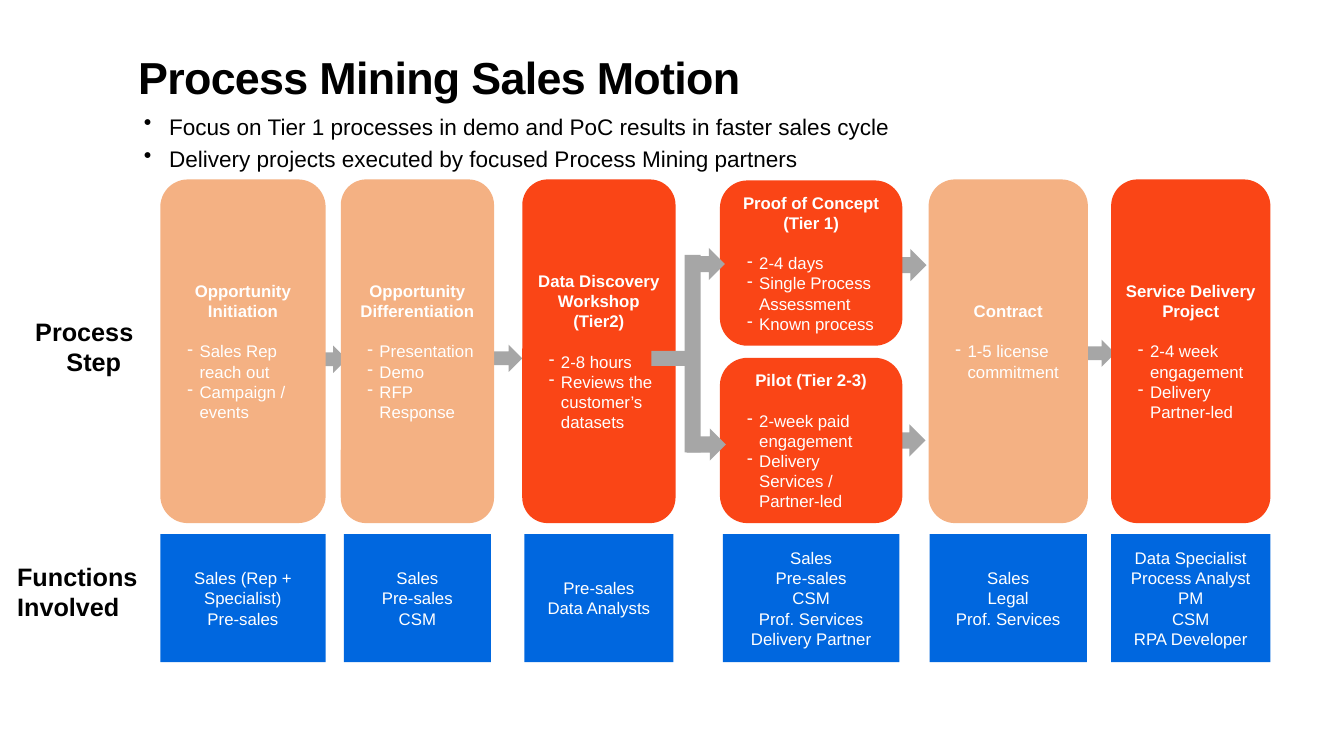
from lxml import etree
from pptx import Presentation
from pptx.dml.color import RGBColor
from pptx.enum.shapes import MSO_SHAPE
from pptx.enum.text import MSO_ANCHOR, PP_ALIGN
from pptx.oxml.ns import qn
from pptx.util import Inches, Pt

ROUND, RECT, ARROW = MSO_SHAPE.ROUNDED_RECTANGLE, MSO_SHAPE.RECTANGLE, MSO_SHAPE.RIGHT_ARROW
LEFT, MID = PP_ALIGN.LEFT, PP_ALIGN.CENTER
TOP, MIDDLE, BOTTOM = MSO_ANCHOR.TOP, MSO_ANCHOR.MIDDLE, MSO_ANCHOR.BOTTOM

COLORS = {"black": "000000", "white": "FFFFFF", "gray": "A6A6A6",
          "peach": "F4B183", "orange": "FA4516", "blue": "0067DF"}

# Column: left, width, and how far its staff box is set in on each side
COLS = {"start": (1.59, 1.64, 0), "differ": (3.38, 1.52, 0.03), "explore": (5.18, 1.52, 0.02),
        "prove": (7.14, 1.81, 0.03), "sign": (9.21, 1.58, 0.01), "deliver": (11.02, 1.58, 0)}
# Row: top, height
ROWS = {"full": (1.78, 3.41), "upper": (1.79, 1.64), "lower": (3.55, 1.64), "staff": (5.3, 1.27)}

# Column, row, colour, heading lines, points
STEPS = [
    ("differ", "full", "peach", ["Opportunity Differentiation"],
     ["Presentation", "Demo", "RFP Response"]),
    ("start", "full", "peach", ["Opportunity Initiation"],
     ["Sales Rep reach out", "Campaign / events"]),
    ("prove", "upper", "orange", ["Proof of Concept (Tier 1)"],
     ["2-4 days", "Single Process Assessment", "Known process"]),
    ("prove", "lower", "orange", ["Pilot (Tier 2-3)"],
     ["2-week paid engagement", "Delivery Services / Partner-led"]),
    ("sign", "full", "peach", ["Contract"], ["1-5 license commitment"]),
    ("deliver", "full", "orange", ["Service Delivery Project"],
     ["2-4 week engagement", "Delivery Partner-led"]),
    ("explore", "full", "orange", ["Data Discovery Workshop", "(Tier2)"],
     ["2-8 hours", "Reviews the customer’s datasets"]),
]
STAFF = {
    "start": ["Sales (Rep + Specialist)", "Pre-sales"],
    "differ": ["Sales", "Pre-sales", "CSM"],
    "explore": ["Pre-sales", "Data Analysts"],
    "prove": ["Sales", "Pre-sales", "CSM", "Prof. Services", "Delivery Partner"],
    "sign": ["Sales", "Legal", "Prof. Services"],
    "deliver": ["Data Specialist", "Process Analyst", "PM", "CSM", "RPA Developer"],
}
# Left, top, width, height
LINKS = [(4.79, 3.42, 0.39, 0.27), (3.05, 3.43, 0.39, 0.27), (10.67, 3.37, 0.39, 0.27),
         (8.71, 4.21, 0.47, 0.32), (8.72, 2.47, 0.47, 0.32)]
FORKS = [(6.81, 4.25, 0.39, 0.32), (6.81, 2.46, 0.38, 0.32)]
BARS = [(6.46, 3.48, 0.35, 0.15), (6.79, 2.53, 0.16, 1.96)]


def mark(para, sign, left, hang):
    """Give a paragraph a bullet sign with a hanging indent."""
    props = para._p.get_or_add_pPr()
    props.set("marL", str(Inches(left)))
    props.set("indent", str(-Inches(hang)))
    etree.SubElement(props, qn("a:buChar")).set("char", sign)


def write(frame, lines, size=12, color="white", bold=False, align=LEFT, bullet=None,
          before=0, gap=0, space=None, kern=None):
    """Add paragraphs; before is the space above the first, gap above the others."""
    for line in lines:
        fresh = not frame.paragraphs[0].runs
        para = frame.paragraphs[0] if fresh else frame.add_paragraph()
        if bullet:
            mark(para, *bullet)
        para.alignment = align
        para.space_before = Pt(before if line == lines[0] else gap)
        if space:
            para.line_spacing = space
        run = para.add_run()
        run.text = line
        run.font.name, run.font.size, run.font.bold = "Arial", Pt(size), bold
        run.font.color.rgb = RGBColor.from_string(COLORS[color])
        if kern:
            run._r.get_or_add_rPr().set("spc", str(kern))


def setup(frame, anchor, side=0, edge=0):
    frame.word_wrap = True
    frame.vertical_anchor = anchor
    frame.margin_left = frame.margin_right = Inches(side)
    frame.margin_top = frame.margin_bottom = Inches(edge)
    return frame


def block(slide, kind, place, color):
    shape = slide.shapes.add_shape(kind, *map(Inches, place))
    shape.shadow.inherit = False
    shape.fill.solid()
    shape.fill.fore_color.rgb = RGBColor.from_string(COLORS[color])
    shape.line.fill.background()
    return setup(shape.text_frame, MIDDLE)


def label(slide, place, lines, anchor=TOP, side=0, edge=0, **style):
    box = slide.shapes.add_textbox(*map(Inches, place))
    write(setup(box.text_frame, anchor, side, edge), lines, color="black", **style)
    return box.text_frame


def step(slide, col, row, color, heading, points):
    left, width, _ = COLS[col]
    top, height = ROWS[row]
    frame = block(slide, ROUND, (left, top, width, height), color)
    write(frame, heading, bold=True, align=MID)
    write(frame, points, bullet=("-", 0.31, 0.12), before=14.4)
    if col == "sign":
        frame.margin_bottom = Inches(0.2)


def staff(slide, col, roles):
    left, width, inset = COLS[col]
    top, height = ROWS["staff"]
    frame = block(slide, RECT, (left + inset, top, width - 2 * inset, height), "blue")
    write(frame, roles, align=MID)


def main():
    deck = Presentation()
    deck.slide_width, deck.slide_height = Inches(13.33), Inches(7.5)
    slide = deck.slides.add_slide(deck.slide_layouts[6])

    label(slide, (1.37, 0.54, 10.79, 0.49), ["Process Mining Sales Motion"], anchor=BOTTOM,
          size=32, bold=True, space=0.85, kern=-50)
    label(slide, (1.33, 1.14, 11.44, 0.64),
          ["Focus on Tier 1 processes in demo and PoC results in faster sales cycle",
           "Delivery projects executed by focused Process Mining partners"],
          side=0.1, edge=0.05, size=16.1, bullet=("•", 0.25, 0.25), gap=10, space=0.7)

    for place in LINKS:
        block(slide, ARROW, place, "gray")
    for item in STEPS:
        step(slide, *item)
    for col, roles in STAFF.items():
        staff(slide, col, roles)
    for place in FORKS:
        block(slide, ARROW, place, "gray")
    for place in BARS:
        block(slide, RECT, place, "gray")

    name = label(slide, (0.35, 3.14, 1.17, 1), ["Process", "Step"], size=18, bold=True)
    name.paragraphs[1]._p.get_or_add_pPr().set("marL", str(Inches(0.31)))
    label(slide, (0.17, 5.57, 1.28, 1), ["Functions", "Involved"], size=18, bold=True)
    deck.save("out.pptx")


if __name__ == "__main__":
    main()
